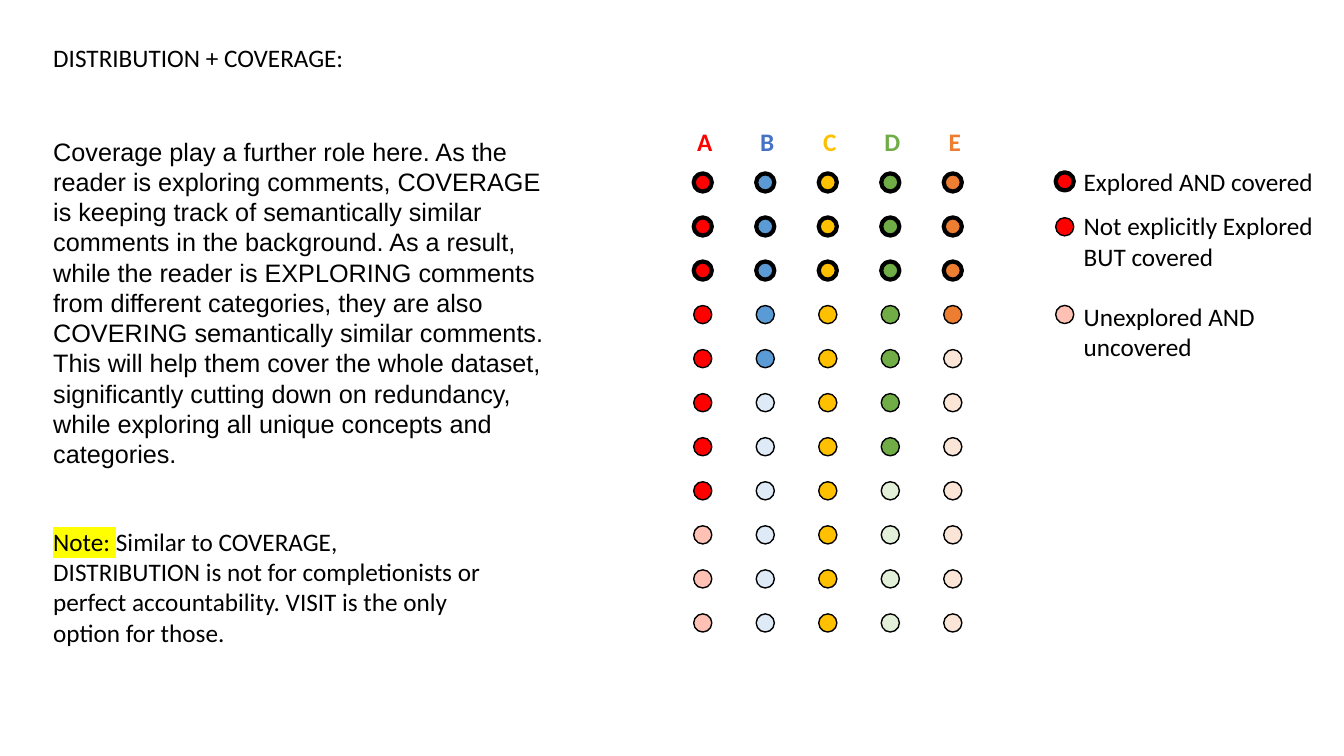
import pptx
import pptx.dml.color
import pptx.enum.shapes
import pptx.enum.text
import pptx.oxml.ns
import pptx.util
from lxml import etree
from pptx.dml.color import RGBColor
from pptx.util import Inches

BLACK = RGBColor(0x00, 0x00, 0x00)
RED = RGBColor(0xFF, 0x00, 0x00)
PALE_RED = RGBColor(0xFF, 0xC1, 0xB3)
BLUE = RGBColor(0x5B, 0x9B, 0xD5)
DARK_BLUE = RGBColor(0x44, 0x72, 0xC4)
PALE_BLUE = RGBColor(0xDE, 0xEB, 0xF7)
GOLD = RGBColor(0xFF, 0xC0, 0x00)
GREEN = RGBColor(0x70, 0xAD, 0x47)
PALE_GREEN = RGBColor(0xE2, 0xF0, 0xD9)
ORANGE = RGBColor(0xED, 0x7D, 0x31)
PALE_ORANGE = RGBColor(0xFB, 0xE5, 0xD6)
YELLOW = RGBColor(0xFF, 0xFF, 0x00)

# Letter, letter colour, covered colour, uncovered colour, covered count
CATEGORIES = [
    ("A", RED, RED, PALE_RED, 8),
    ("B", DARK_BLUE, BLUE, PALE_BLUE, 5),
    ("C", GOLD, GOLD, GOLD, 11),
    ("D", GREEN, GREEN, PALE_GREEN, 7),
    ("E", ORANGE, ORANGE, PALE_ORANGE, 4),
]
COMMENT_COUNT = 11
EXPLORED_COUNT = 3
GRID_LEFT, GRID_TOP, GRID_BOTTOM = 6.88, 1.72, 6.09
COLUMN_STEP = 0.62
ROW_STEP = (GRID_BOTTOM - GRID_TOP) / (COMMENT_COUNT - 1)
DOT_SIZE = 0.18
LETTER_WIDTH = 0.38

LEGEND_LEFT = 10.47
# Dot top, dot colour, explored, label top, label width, label height, lines
LEGEND = [
    (1.71, RED, True, 1.6, 2.67, 0.4, ["Explored AND covered"]),
    (2.16, RED, False, 2.04, 2.85, 0.71, ["Not explicitly Explored", "BUT covered"]),
    (3.03, PALE_RED, False, 2.94, 2.38, 0.71, ["Unexplored AND uncovered"]),
]

COVERAGE_TEXT = (
    "Coverage play a further role here. As the reader is exploring comments, "
    "COVERAGE is keeping track of semantically similar comments in the background. "
    "As a result, while the reader is EXPLORING comments from different categories, "
    "they are also COVERING semantically similar comments. This will help them cover "
    "the whole dataset, significantly cutting down on redundancy, while exploring all "
    "unique concepts and categories."
)
NOTE_TEXT = (
    "Similar to COVERAGE, DISTRIBUTION is not for completionists or perfect "
    "accountability. VISIT is the only option for those."
)


def add_run(paragraph, text, font="Calibri", color=BLACK, bold=False):
    run = paragraph.add_run()
    run.text = text
    run.font.size = pptx.util.Pt(18)
    run.font.name = font
    run.font.bold = bold
    run.font.color.rgb = color
    return run


def highlight(run, color):
    fill = run.font.fill._xPr.find(pptx.oxml.ns.qn("a:solidFill"))
    mark = etree.Element(pptx.oxml.ns.qn("a:highlight"))
    etree.SubElement(mark, pptx.oxml.ns.qn("a:srgbClr"), val=str(color))
    fill.addnext(mark)


def add_text_frame(slide, left, top, width, height):
    box = slide.shapes.add_textbox(
        Inches(left), Inches(top), Inches(width), Inches(height)
    )
    box.text_frame.word_wrap = True
    return box.text_frame


def add_text(slide, left, top, width, height, lines, **style):
    """Add a text box with one paragraph for each line."""
    frame = add_text_frame(slide, left, top, width, height)
    for index, line in enumerate(lines):
        paragraph = frame.add_paragraph() if index else frame.paragraphs[0]
        add_run(paragraph, line, **style)
    return frame


def add_dot(slide, left, top, color, explored):
    """Add a comment dot; an explored one has a thick outline."""
    dot = slide.shapes.add_shape(
        pptx.enum.shapes.MSO_SHAPE.OVAL,
        Inches(left), Inches(top), Inches(DOT_SIZE), Inches(DOT_SIZE),
    )
    dot.shadow.inherit = False
    dot.fill.solid()
    dot.fill.fore_color.rgb = color
    dot.line.color.rgb = BLACK
    dot.line.width = pptx.util.Pt(3 if explored else 1)


def add_category(slide, column, letter, letter_color, covered, uncovered, covered_count):
    left = GRID_LEFT + column * COLUMN_STEP
    letter_left = left + 0.11 - LETTER_WIDTH / 2
    frame = add_text(slide, letter_left, 1.2, LETTER_WIDTH, 0.4, [letter],
                     color=letter_color, bold=True)
    frame.word_wrap = False
    frame.paragraphs[0].alignment = pptx.enum.text.PP_ALIGN.CENTER
    for row in range(COMMENT_COUNT):
        color = covered if row < covered_count else uncovered
        add_dot(slide, left, GRID_TOP + row * ROW_STEP, color, row < EXPLORED_COUNT)


def add_legend(slide):
    for dot_top, color, explored, top, width, height, lines in LEGEND:
        add_dot(slide, LEGEND_LEFT, dot_top, color, explored)
        add_text(slide, LEGEND_LEFT + DOT_SIZE, top, width, height, lines)


def add_note(slide):
    paragraph = add_text_frame(slide, 0.43, 5.17, 4.53, 1.31).paragraphs[0]
    highlight(add_run(paragraph, "Note: "), YELLOW)
    add_run(paragraph, NOTE_TEXT)


def main():
    presentation = pptx.Presentation()
    presentation.slide_width = Inches(13.33)
    presentation.slide_height = Inches(7.5)
    slide = presentation.slides.add_slide(presentation.slide_layouts[6])

    add_text(slide, 0.43, 0.37, 12.7, 0.4, ["DISTRIBUTION + COVERAGE:"])
    add_text(slide, 0.43, 1.3, 5.17, 3.43, [COVERAGE_TEXT], font="Arial")
    add_note(slide)
    for column, category in enumerate(CATEGORIES):
        add_category(slide, column, *category)
    add_legend(slide)

    presentation.save("out.pptx")


if __name__ == "__main__":
    main()
